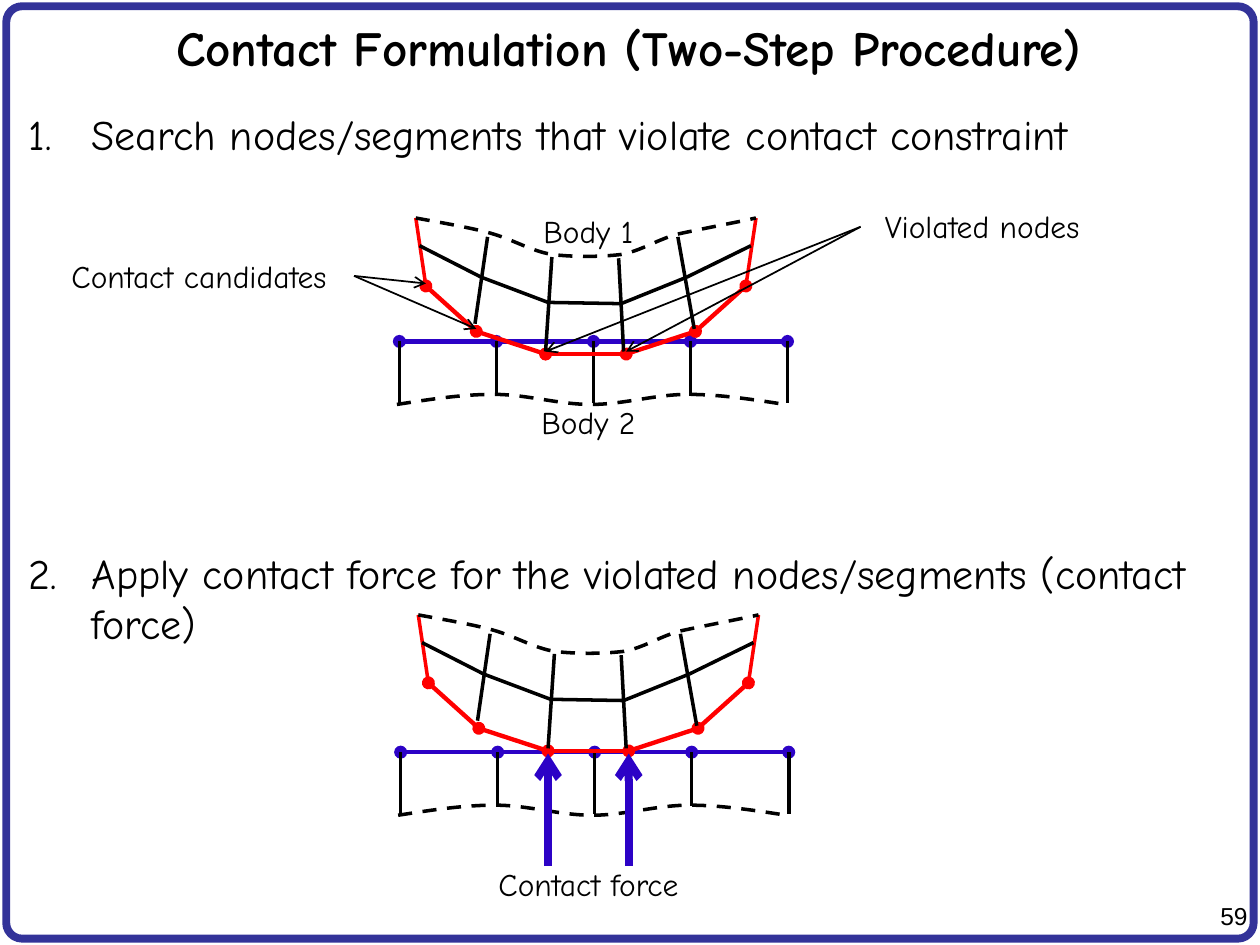
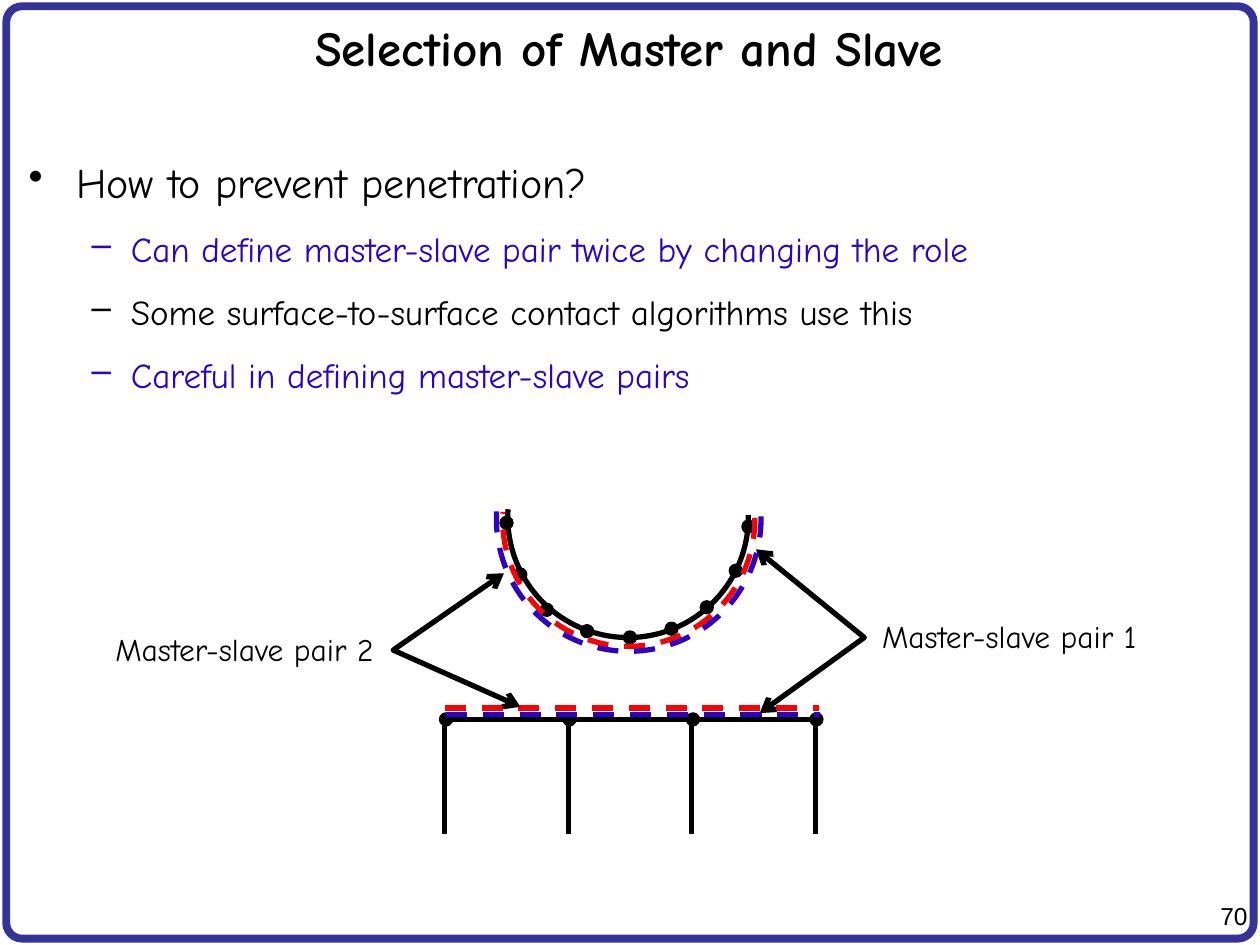
from itertools import pairwise

from lxml.etree import SubElement
from pptx import Presentation
from pptx.dml.color import RGBColor
from pptx.enum.dml import MSO_LINE
from pptx.enum.shapes import MSO_CONNECTOR, MSO_SHAPE
from pptx.enum.text import MSO_ANCHOR, MSO_AUTO_SIZE, PP_ALIGN
from pptx.oxml.ns import qn
from pptx.util import Inches, Pt

COLORS = {
    "ink": "000000",
    "frame": "333399",
    "blue": "2C02C6",
    "red": "FF0000",
}
FONT = "Comic Neue"
NUMBERED = ("a:buAutoNum", {"type": "arabicPeriod"})
DOT = ("a:buChar", {"char": "•"})
DASH = ("a:buChar", {"char": "–"})


def shift(points, origin):
    return [(origin[0] + x, origin[1] + y) for x, y in points]


class Deck:
    """Holds the shared style and the slide being filled."""

    def __init__(self):
        self.prs = Presentation()
        self.prs.slide_width, self.prs.slide_height = Inches(10), Inches(7.5)
        self.slide = None

    def new_slide(self, title, number):
        self.slide = self.prs.slides.add_slide(self.prs.slide_layouts[6])
        frame = self.outline(MSO_SHAPE.ROUNDED_RECTANGLE, (0.05, 0.05, 9.9, 7.4), "frame", 4.5)
        frame.adjustments[0] = 0.017
        page = self.textbox((9.46, 7.1, 0.54, 0.33))
        self.add_text(page.paragraphs[0], number, 14, align=PP_ALIGN.RIGHT, font="Arial")
        heading = self.textbox((0.04, 0.05, 9.9, 0.65))
        heading.vertical_anchor = MSO_ANCHOR.MIDDLE
        self.add_text(heading.paragraphs[0], title, 28, align=PP_ALIGN.CENTER, bold=True)

    def textbox(self, box, wrap=True):
        frame = self.slide.shapes.add_textbox(*map(Inches, box)).text_frame
        frame.word_wrap = wrap
        return frame

    def add_text(self, paragraph, text, size, color="ink", align=PP_ALIGN.LEFT, bold=False,
                 font=FONT):
        paragraph.alignment = align
        run = paragraph.add_run()
        run.text = text
        run.font.name, run.font.size, run.font.bold = font, Pt(size), bold
        run.font.color.rgb = RGBColor.from_string(COLORS[color])

    def label(self, text, box):
        frame = self.textbox(box, wrap=False)
        frame.auto_size = MSO_AUTO_SIZE.SHAPE_TO_FIT_TEXT
        self.add_text(frame.paragraphs[0], text, 18, align=PP_ALIGN.CENTER)

    def body(self, box, items):
        """Items are (text, size, color, level, left, hanging, space before, bullet)."""
        frame = self.textbox(box)
        for i, (text, size, color, level, left, hanging, before, bullet) in enumerate(items):
            paragraph = frame.add_paragraph() if i else frame.paragraphs[0]
            self.add_text(paragraph, text, size, color)
            paragraph.level, paragraph.space_before = level, Pt(before)
            properties = paragraph._p.get_or_add_pPr()
            properties.set("marL", str(Inches(left)))
            properties.set("indent", str(-Inches(hanging)))
            tag, attributes = bullet
            SubElement(properties, qn(tag), attributes)

    def stroke(self, line, color, width, dashed=False, head=None, tail=None):
        line.color.rgb = RGBColor.from_string(COLORS[color])
        line.width = Pt(width)
        if dashed:
            line.dash_style = MSO_LINE.DASH
        for tag, end in (("a:headEnd", head), ("a:tailEnd", tail)):
            if end:
                SubElement(line._get_or_add_ln(), qn(tag), type=end)

    def line(self, start, end, color="ink", width=2, **style):
        connector = self.slide.shapes.add_connector(
            MSO_CONNECTOR.STRAIGHT, *map(Inches, (*start, *end)))
        self.stroke(connector.line, color, width, **style)
        SubElement(connector._element.spPr, qn("a:effectLst"))

    def chain(self, points, color="ink", width=2, nodes=False):
        """Straight segments through the points, with a round node at each if asked."""
        marker = "oval" if nodes else None
        for start, end in pairwise(points):
            self.line(start, end, color, width, head=marker,
                      tail=marker if end == points[-1] else None)

    def outline(self, kind, box, color="ink", width=2, **style):
        shape = self.slide.shapes.add_shape(kind, *map(Inches, box))
        shape.shadow.inherit = False
        shape.fill.background()
        self.stroke(shape.line, color, width, **style)
        return shape

    def polyline(self, points, width=2, **style):
        corners = [(Inches(x), Inches(y)) for x, y in points]
        builder = self.slide.shapes.build_freeform(*corners[0])
        builder.add_line_segments(corners[1:], close=False)
        shape = builder.convert_to_shape()
        shape.shadow.inherit = False
        shape.fill.background()
        self.stroke(shape.line, "ink", width, **style)
        return shape

    def curve(self, points):
        """Dashed Bézier curve: a start, then two controls and an end per piece."""
        segments = self.polyline(points, dashed=True)._element.findall(".//" + qn("a:lnTo"))
        outline = segments[0].getparent()
        for i in range(0, len(segments), 3):
            piece = SubElement(outline, qn("a:cubicBezTo"))
            for segment in segments[i:i + 3]:
                piece.append(segment[0])
                outline.remove(segment)

    def arc(self, box, color, **style):
        lower_half = self.outline(MSO_SHAPE.ARC, box, color, 3, **style)
        lower_half.adjustments[0], lower_half.adjustments[1] = 215.313, 110.273

    def dot(self, x, y, size=0.1):
        node = self.outline(MSO_SHAPE.OVAL, (x - size / 2, y - size / 2, size, size), width=1)
        node.fill.solid()
        node.fill.fore_color.rgb = RGBColor.from_string(COLORS["ink"])


LOWER_EDGE = [
    (-0.02, 0.5), (0.24, 0.46), (0.49, 0.42), (0.75, 0.42), (1.01, 0.42), (1.26, 0.5), (1.52, 0.5),
    (1.78, 0.5), (2.03, 0.42), (2.29, 0.42), (2.54, 0.42), (2.8, 0.46), (3.06, 0.5)]
UPPER_EDGE = [
    (0, 0), (0.1, 0.02), (0.41, 0.07), (0.59, 0.12), (0.77, 0.17), (0.91, 0.26), (1.08, 0.29),
    (1.25, 0.31), (1.46, 0.31), (1.63, 0.29), (1.79, 0.26), (1.9, 0.18), (2.07, 0.13),
    (2.25, 0.09), (2.57, 0.03), (2.7, 0)]
CONTACT_NODES = [(0.08, 0.54), (0.48, 0.9), (1.03, 1.08), (1.67, 1.08), (2.22, 0.9), (2.62, 0.54)]
MIDDLE_ROW = [(0.03, 0.22), (0.52, 0.47), (1.05, 0.67), (1.63, 0.68), (2.15, 0.47), (2.66, 0.22)]
RIBS = [
    [(0.47, 0.84), (0.57, 0.15)], [(1.03, 1.06), (1.08, 0.31)],
    [(1.65, 1.06), (1.61, 0.32)], [(2.21, 0.88), (2.08, 0.15)]]


def draw_bodies(deck, upper, lower):
    """Draw both meshes from their top left corners; return the upper contact nodes."""
    surface = shift([(0.77 * i, 0) for i in range(5)], lower)
    deck.chain(surface, "blue", 2.5, nodes=True)
    for i, (x, y) in enumerate(surface):
        deck.line((x, y), (x, y + 0.49 - 0.06 * (i % 2)))
    deck.curve(shift(LOWER_EDGE, lower))

    contact = shift(CONTACT_NODES, upper)
    deck.chain(contact, "red", 2.5, nodes=True)
    sides = shift([UPPER_EDGE[0], UPPER_EDGE[-1]], upper)
    for node, corner in zip((contact[0], contact[-1]), sides):
        deck.line(node, corner, "red")
    for rib in RIBS:
        deck.line(*shift(rib, upper))
    deck.chain(shift(MIDDLE_ROW, upper))
    deck.curve(shift(UPPER_EDGE, upper))
    return contact


def two_step_procedure(deck):
    deck.new_slide("Contact Formulation (Two-Step Procedure)", "59")
    steps = [
        ("Search nodes/segments that violate contact constraint", 12),
        ("Apply contact force for the violated nodes/segments (contact force)", 222)]
    deck.body((0.13, 0.81, 9.74, 6.42), [
        (text, 24, "ink", 0, 0.5, 0.5, before, NUMBERED) for text, before in steps])

    pushed = draw_bodies(deck, (3.32, 4.88), (3.18, 5.97))
    for x, y in pushed[2:4]:
        deck.line((x, 6.87), (x, y + 0.02), "blue", 4.5, tail="arrow")
    deck.label("Contact force", (3.75, 6.82, 1.84, 0.4))

    found = draw_bodies(deck, (3.3, 1.73), (3.17, 2.71))
    for source, targets in (((6.83, 1.8), found[2:4]), ((2.81, 2.19), found[:2])):
        for x, y in targets:
            deck.line(source, (x, y - 0.02), width=1, tail="arrow")
    deck.label("Violated nodes", (6.83, 1.59, 1.93, 0.4))
    deck.label("Body 1", (4.19, 1.63, 0.96, 0.4))
    deck.label("Body 2", (4.17, 3.15, 1, 0.4))
    deck.label("Contact candidates", (0.35, 1.99, 2.46, 0.4))


def master_and_slave(deck):
    deck.new_slide("Selection of Master and Slave", "70")
    answers = [
        ("Can define master-slave pair twice by changing the role", "blue"),
        ("Some surface-to-surface contact algorithms use this", "ink"),
        ("Careful in defining master-slave pairs", "blue")]
    deck.body((0.13, 1.19, 9.74, 2.49), [
        ("How to prevent penetration?", 24, "ink", 0, 0.38, 0.38, 12, DOT),
        *((text, 20, color, 1, 0.81, 0.31, 12, DASH) for text, color in answers)])

    deck.line((3.53, 5.71), (6.49, 5.71), width=3)
    for i in range(4):
        x = 3.53 + 0.98 * i
        deck.line((x, 5.7), (x, 6.62), width=3)
        deck.dot(x + 0.01, 5.71)
    deck.arc((4.03, 3.15, 1.91, 1.91), "ink")
    for x, y in [(4.02, 4.15), (4.13, 4.56), (4.34, 4.84), (4.66, 5.01), (5, 5.06),
                 (5.33, 4.99), (5.61, 4.82), (5.84, 4.53), (5.94, 4.18)]:
        deck.dot(x, y)

    pairs = [
        ("Master-slave pair 1", (6.78, 4.85, 2.46, 0.4), (3.99, 3.13, 2, 2), "red",
         (3.54, 5.67), "blue", [(6, 4.36), (6.86, 5.06), (6.03, 5.66)]),
        ("Master-slave pair 2", (0.69, 4.95, 2.5, 0.4), (3.94, 3.07, 2.1, 2.1), "blue",
         (3.53, 5.62), "red", [(4, 4.55), (3.12, 5.16), (4.13, 5.61)])]
    for name, name_box, arc_box, arc_color, (x, y), flat_color, pointer in pairs:
        deck.arc(arc_box, arc_color, dashed=True)
        deck.line((x, y), (x + 2.97, y), flat_color, 3, dashed=True)
        deck.label(name, name_box)
        deck.polyline(pointer, 3, head="arrow", tail="arrow")


def main():
    deck = Deck()
    two_step_procedure(deck)
    master_and_slave(deck)
    deck.prs.save("out.pptx")


if __name__ == "__main__":
    main()
